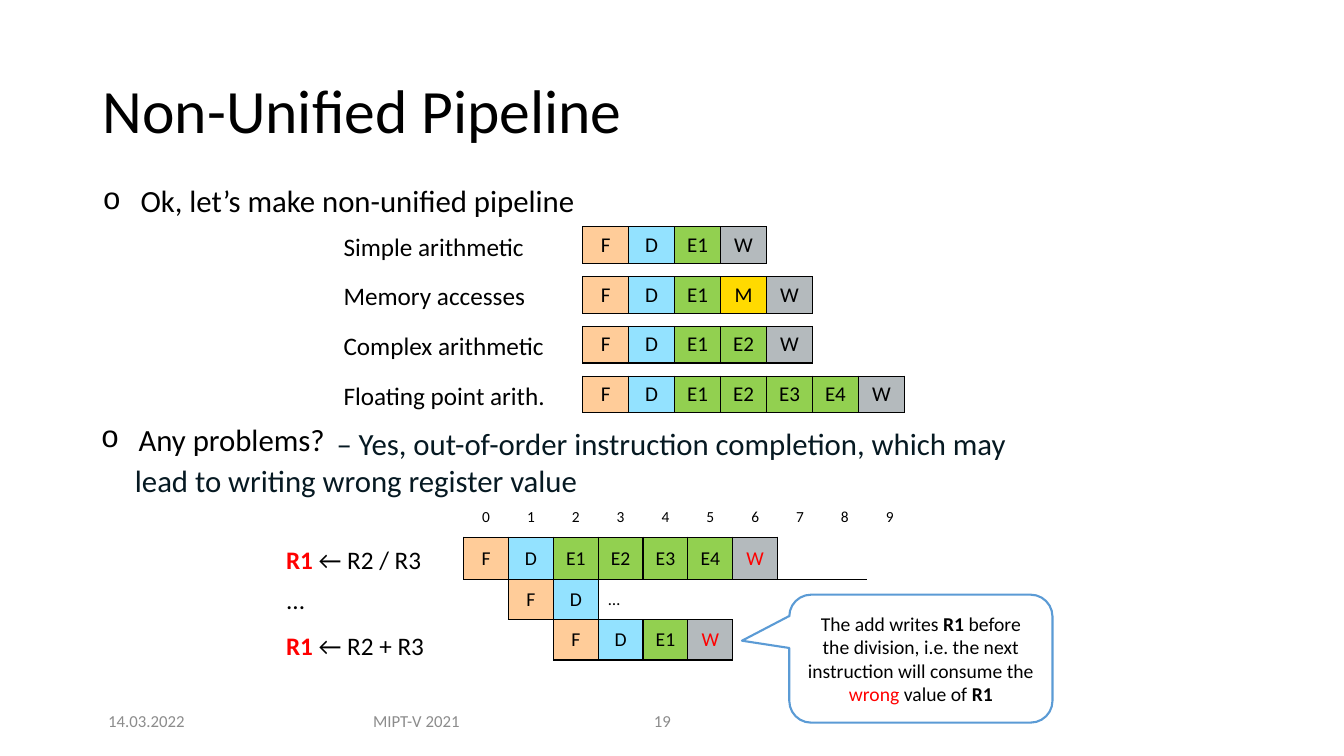
"""Build the slide on the non-unified pipeline."""
from lxml.etree import SubElement
from pptx import Presentation
from pptx.dml.color import RGBColor
from pptx.enum.shapes import MSO_SHAPE as Form
from pptx.enum.text import MSO_ANCHOR as Anchor, PP_ALIGN as Align
from pptx.oxml.ns import qn
from pptx.util import Pt

hue = RGBColor.from_string
BLACK, RED, GREY = "000000", "FF0000", "8C8C8C"
FILLS = {"F": "FFCC99", "D": "93E2FF", "E": "92D050", "M": "FFDA00", "W": "B4BABD"}
PLAIN = "{2D5ABB26-0587-4C30-8999-92F81FD0307C}"


def write(para, parts, size):
    """Fill a paragraph with (text, colour, bold) parts."""
    for words, color, bold in parts:
        run = para.add_run()
        run.text = words
        font = run.font
        font.name, font.size, font.bold = "Calibri", Pt(size), bold
        font.color.rgb = hue(color)


def draw(spot, widths, heights, rows, size, alert):
    """Add a table whose stage cells are coloured and outlined."""
    frame = slide.shapes.add_table(len(heights), len(widths), *map(Pt, spot),
                                   Pt(sum(widths)), Pt(sum(heights)))
    table = frame.table
    table.first_row = table.horz_banding = False
    frame._element.find(".//" + qn("a:tableStyleId")).text = PLAIN
    for col, width in zip(table.columns, widths):
        col.width = Pt(width)
    for row, height, marks in zip(table.rows, heights, rows):
        row.height = Pt(height)
        for cell, mark in zip(row.cells, marks):
            cell.margin_top = cell.margin_bottom = 0
            cell.vertical_anchor = Anchor.MIDDLE
            stage = mark[:1] in FILLS
            sides = "LRTB" if stage else "B" if mark == "_" else ""
            for side in sides:
                line = SubElement(cell._tc.get_or_add_tcPr(), qn("a:ln" + side), w="12700")
                solid = SubElement(line, qn("a:solidFill"))
                SubElement(solid, qn("a:srgbClr"), val=BLACK)
            if stage:
                cell.fill.solid()
                cell.fill.fore_color.rgb = hue(FILLS[mark[0]])
            else:
                cell.fill.background()
            if mark.strip("_"):
                para = cell.text_frame.paragraphs[0]
                para.alignment = Align.LEFT if mark == "…" else Align.CENTER
                write(para, [(mark, alert if mark == "W" else BLACK, False)],
                      size if stage else 12 if mark == "…" else 11)
    return table


deck = Presentation()
deck.slide_width, deck.slide_height = Pt(960), Pt(540)
slide = deck.slides.add_slide(deck.slide_layouts[5])

title = slide.shapes.title
title.left, title.top, title.width, title.height = map(Pt, (66.2, 28.8, 828, 104.4))
title.text_frame.vertical_anchor = Anchor.MIDDLE
head = title.text_frame.paragraphs[0]
head.alignment, head.line_spacing = Align.LEFT, 0.9
write(head, [("Non-Unified Pipeline", BLACK, False)], 44)

for words, left, top, wide, space in [
        ("Ok, let’s make non-unified pipeline", 73.4, 129.6, 800, 0.9),
        ("Any problems?", 72, 300.5, 181.4, 1)]:
    frame = slide.shapes.add_textbox(Pt(left), Pt(top), Pt(wide), Pt(27)).text_frame
    frame.word_wrap = True
    frame.margin_left = frame.margin_right = frame.margin_bottom = 0
    frame.margin_top = Pt(3.6) if space < 1 else 0
    para = frame.paragraphs[0]
    para.line_spacing = space
    props = para._p.get_or_add_pPr()
    props.set("marL", str(Pt(27)))
    props.set("indent", str(Pt(-27)))
    SubElement(props, qn("a:buFont"), typeface="Courier New")
    SubElement(props, qn("a:buChar"), char="o")
    write(para, [(words, BLACK, False)], 22)

frame = slide.shapes.add_textbox(Pt(89.3), Pt(300.2), Pt(663), Pt(60.5)).text_frame
frame.word_wrap = True
para = frame.paragraphs[0]
para._p.get_or_add_pPr().set("indent", str(Pt(144)))
write(para, [("– Yes, out-of-order instruction completion, which may lead to "
              "writing wrong register value", "061922", False)], 22)

kinds = [("Simple arithmetic", "F D E1 W", 65.7),
         ("Memory accesses", "F D E1 M W", 65.7),
         ("Complex arithmetic", "F D E1 E2 W", 14.4),
         ("Floating point arith.", "F D E1 E2 E3 E4 W", 65.7)]
for i, (words, stages, tail) in enumerate(kinds):
    box = slide.shapes.add_textbox(Pt(238.3), Pt(161.4 + 35.6 * i), Pt(170), Pt(29))
    box.text_frame.word_wrap = True
    write(box.text_frame.paragraphs[0], [(words, BLACK, False)], 18)
    marks = stages.split()
    draw((416.2, 162 + 35.6 * i), [32.85] * len(marks) + [tail], [26.1],
         [marks + [""]], 15, BLACK)

cycles = [[str(n) for n in range(10)] + ["", ""],
          "F D E1 E2 E3 E4 W _ _".split() + [""] * 3,
          ["", "F", "D", "…"] + [""] * 8,
          ["", "", "F", "D", "E1", "W"] + [""] * 6]
chart = draw((331.2, 355), [32.04] * 12, [28.8, 30, 28.8, 28.8], cycles, 14, RED)
for col in (3, 6):
    chart.cell(2, col).merge(chart.cell(2, col + 2))

frame = slide.shapes.add_textbox(Pt(197.3), Pt(385.2), Pt(124), Pt(113)).text_frame
frame.word_wrap = True
code = [([("R1", RED, True), (" ← R2 / R3", BLACK, False)], 0),
        ([("...", BLACK, False)], 7.3),
        ([("R1", RED, True), (" ← R2 + R3", BLACK, False)], 11)]
for i, (parts, gap) in enumerate(code):
    para = frame.add_paragraph() if i else frame.paragraphs[0]
    if gap:
        para.space_before = Pt(gap)
    write(para, parts, 18)

note = slide.shapes.add_shape(Form.ROUNDED_RECTANGULAR_CALLOUT,
                              Pt(568.8), Pt(424.8), Pt(189), Pt(91.4))
note.left, note.width = Pt(563.8), Pt(188)
for i, value in enumerate((-0.68, -0.14, 0.17)):
    note.adjustments[i] = value
note.shadow.inherit = False
note.fill.solid()
note.fill.fore_color.rgb = hue("FFFFFF")
note.line.color.rgb = hue("5B9BD5")
note.line.width = Pt(1.5)
note.text_frame.word_wrap = True
note.text_frame.vertical_anchor = Anchor.MIDDLE
para = note.text_frame.paragraphs[0]
para.alignment = Align.CENTER
write(para, [("The add writes ", BLACK, False), ("R1", BLACK, True),
             (" before the division, i.e. the next instruction will consume the ",
              BLACK, False),
             ("wrong", RED, False), (" value of ", BLACK, False), ("R1", BLACK, True)], 14)

for words, left, wide, align in [("14.03.2022", 66.2, 77, Align.CENTER),
                                 ("MIPT-V 2021", 240.5, 113.8, Align.CENTER),
                                 ("19", 460, 57, Align.LEFT)]:
    frame = slide.shapes.add_textbox(Pt(left), Pt(500.4), Pt(wide), Pt(28.8)).text_frame
    frame.word_wrap = True
    frame.vertical_anchor = Anchor.MIDDLE
    frame.paragraphs[0].alignment = align
    write(frame.paragraphs[0], [(words, GREY, False)], 12)

deck.save("out.pptx")
